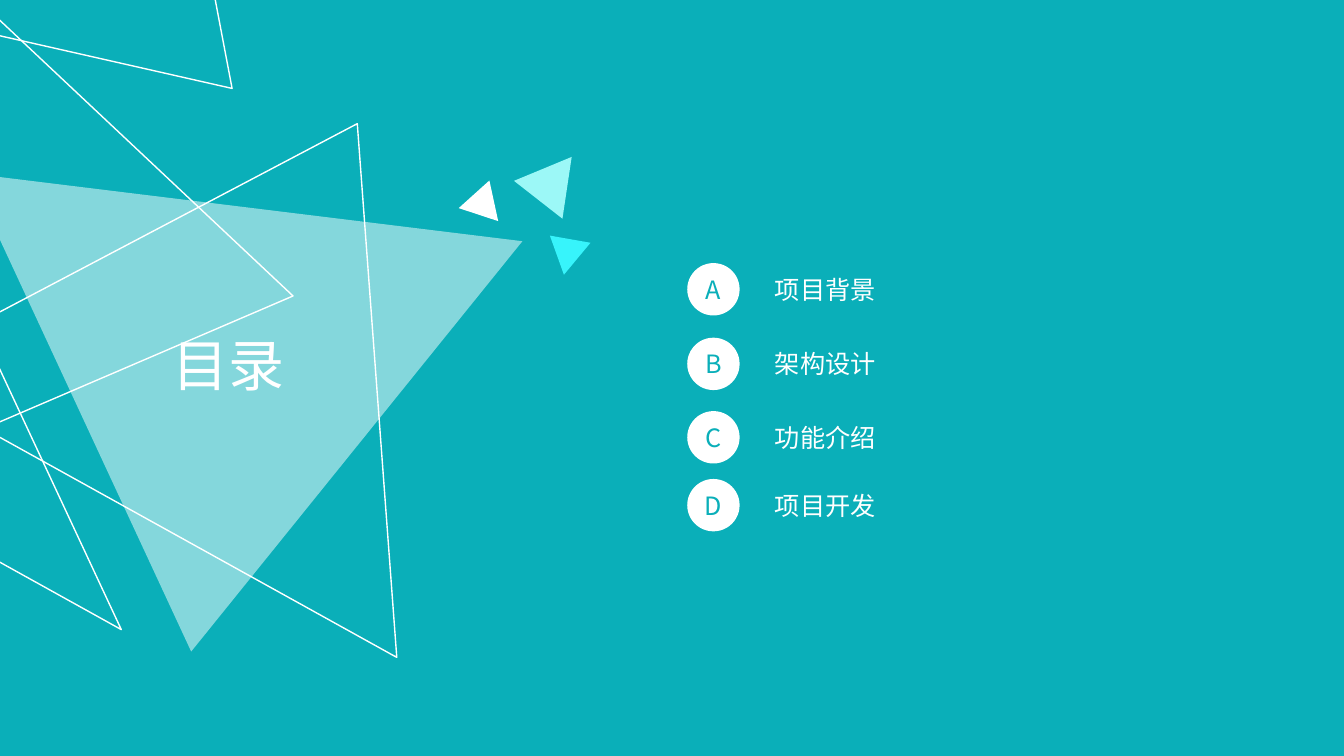
from lxml.etree import SubElement
from pptx import Presentation
from pptx.dml.color import RGBColor
from pptx.enum.shapes import MSO_SHAPE as Kind
from pptx.enum.text import MSO_ANCHOR as Anchor, MSO_AUTO_SIZE as Fit, PP_ALIGN as Align
from pptx.oxml.ns import qn
from pptx.util import Cm, Pt

# Content
TITLE = "目录"
ITEMS = [  # letter, label, top of the disc
    ("A", "项目背景", 6.63),
    ("B", "架构设计", 8.51),
    ("C", "功能介绍", 10.36),
    ("D", "项目开发", 12.07),
]

# Look
TEAL = RGBColor(0x0A, 0xAF, 0xB9)
WHITE = RGBColor(0xFF, 0xFF, 0xFF)
MINT = RGBColor(0x9C, 0xF8, 0xF7)
CYAN = RGBColor(0x37, 0xF4, 0xFB)
FONT = "Noto Sans CJK SC"

# Triangles: left, top, width, height, turn, fill (None = outline), opacity
BACK = [(-5.46, -7.47, 14.78, 11.28, 136, None, 100)]
FRONT = [
    (-1.52, 5.18, 14.05, 11.28, 187, WHITE, 50),
    (-1.12, 2.41, 14.78, 11.28, 29, None, 100),
    (13.21, 3.81, 1.55, 1.37, 38, MINT, 100),
    (11.73, 4.78, 1.04, 0.91, 138, WHITE, 100),
    (13.77, 6.02, 1.04, 0.91, 190, CYAN, 100),
    (-5.56, 0.84, 14.78, 11.28, 100, None, 100),
    (-4.45, 6.1, 7.32, 11.28, 137, None, 100),
]

# List layout
DISC_X, DISC = 17.32, 1.32
TEXT_X, TEXT_W, TEXT_H = 19.28, 10.16, 1.02

deck = Presentation()
deck.slide_width, deck.slide_height = Cm(33.87), Cm(19.05)
slide = deck.slides.add_slide(deck.slide_layouts[6])
slide.background.fill.solid()
slide.background.fill.fore_color.rgb = TEAL
shapes = slide.shapes


def assign(obj, form):
    for key, val in form.items():
        setattr(obj, key, val)


def write(frame, text, size, color, align, form):
    assign(frame, form)
    para = frame.paragraphs[0]
    para.alignment = align
    run = para.add_run()
    run.text = text
    assign(run.font, {"name": FONT, "size": Pt(size)})
    run.font.color.rgb = color
    SubElement(run.font._element, qn("a:ea"), typeface=FONT)


def label(text, size, *box):
    frame = shapes.add_textbox(*map(Cm, box)).text_frame
    form = {"word_wrap": True, "auto_size": Fit.SHAPE_TO_FIT_TEXT}
    write(frame, text, size, WHITE, Align.LEFT, form)


def draw(kind, box, fill, alpha=100, turn=0):
    shape = shapes.add_shape(kind, *map(Cm, box))
    shape.shadow.inherit = False
    shape.rotation = turn
    if fill is None:
        shape.fill.background()
        shape.line.color.rgb = WHITE
        shape.line.width = Pt(1)
        return shape
    shape.line.fill.background()
    shape.fill.solid()
    shape.fill.fore_color.rgb = fill
    if alpha < 100:
        tint = shape._element.spPr.find(qn("a:solidFill"))[0]
        SubElement(tint, qn("a:alpha"), val=str(alpha * 1000))
    return shape


def scatter(rows):
    for *box, turn, fill, alpha in rows:
        draw(Kind.ISOSCELES_TRIANGLE, box, fill, alpha, turn)


# Rear triangle and title
scatter(BACK)
label(TITLE, 40, 4.09, 8.2, 3.56, 1.96)

# Lettered list
inset = {f"margin_{side}": 0 for side in ("left", "right", "top", "bottom")}
for mark, text, top in ITEMS:
    disc = draw(Kind.OVAL, (DISC_X, top, DISC, DISC), WHITE)
    form = {**inset, "vertical_anchor": Anchor.MIDDLE}
    write(disc.text_frame, mark, 18, TEAL, Align.CENTER, form)
    label(text, 18, TEXT_X, top + (DISC - TEXT_H) / 2, TEXT_W, TEXT_H)

# Front triangles
scatter(FRONT)

deck.save("out.pptx")
